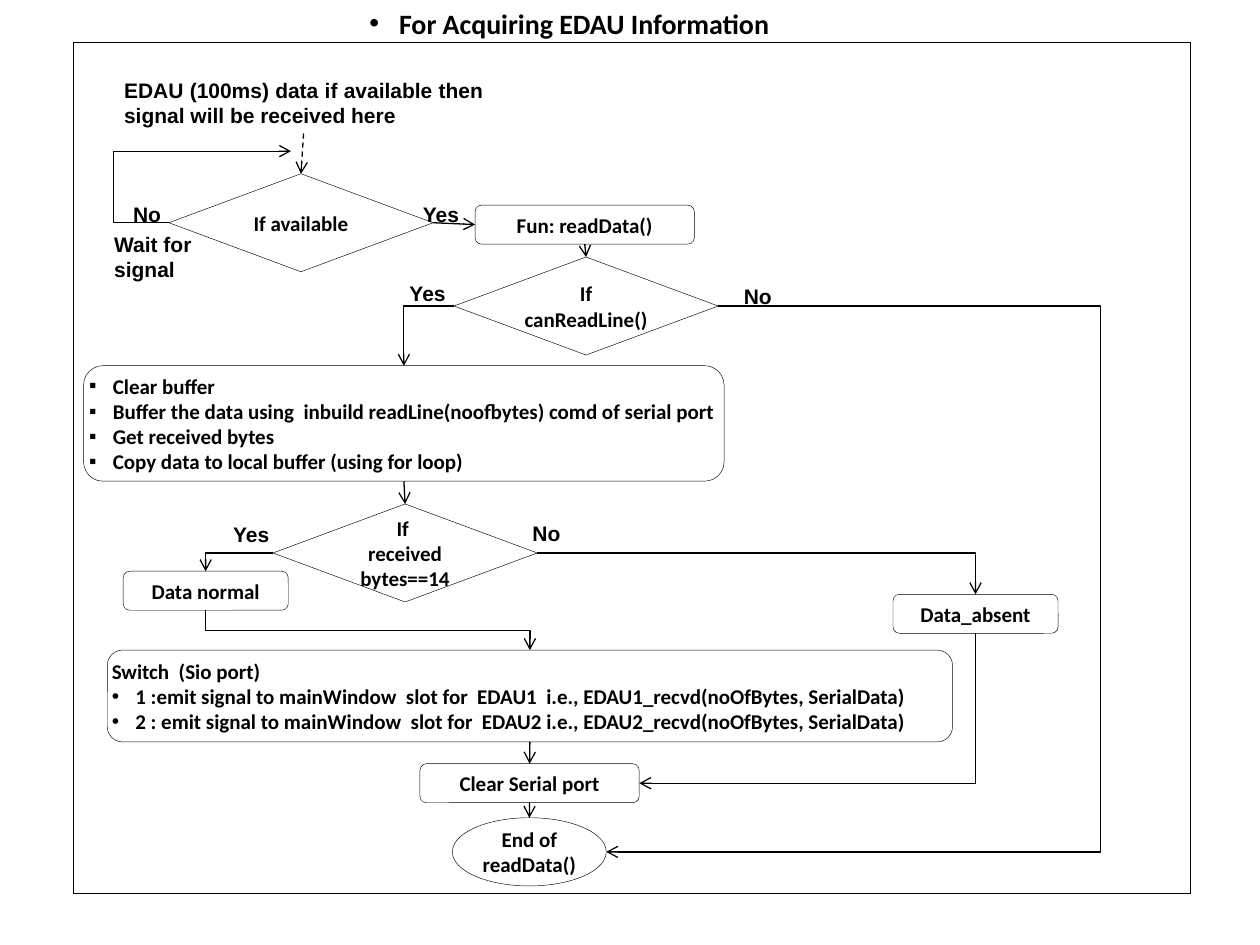
from dataclasses import dataclass

from lxml import etree
from pptx import Presentation
from pptx.dml.color import RGBColor
from pptx.enum.dml import MSO_LINE
from pptx.enum.shapes import MSO_CONNECTOR, MSO_SHAPE
from pptx.enum.text import MSO_ANCHOR, MSO_AUTO_SIZE, PP_ALIGN
from pptx.oxml.ns import qn
from pptx.util import Pt

BOX, ROUNDED = MSO_SHAPE.RECTANGLE, MSO_SHAPE.ROUNDED_RECTANGLE
DECISION, OVAL = MSO_SHAPE.FLOWCHART_DECISION, MSO_SHAPE.OVAL
STRAIGHT, ELBOW = MSO_CONNECTOR.STRAIGHT, MSO_CONNECTOR.ELBOW
LEFT, CENTER, JUSTIFY = PP_ALIGN.LEFT, PP_ALIGN.CENTER, PP_ALIGN.JUSTIFY
MIDDLE, TOP_ANCHOR = MSO_ANCHOR.MIDDLE, MSO_ANCHOR.TOP
NO_FIT, DASH = MSO_AUTO_SIZE.NONE, MSO_LINE.DASH
TOP, LEFT_SIDE, BOTTOM, RIGHT_SIDE = range(4)
TITLE_ONLY = 5


@dataclass(frozen=True)
class Theme:
    ink: RGBColor = RGBColor(0, 0, 0)
    node_font: str = "Calibri"
    label_font: str = "Arial"
    title_size: float = 16
    text_size: float = 12
    outline: float = 0.25
    arrow: float = 0.75
    list_indent: float = 13.5
    title_indent: float = 17


THEME = Theme()


def write(shape, lines, font, size, align, anchor, insets=(7.2, 3.6)):
    """Fill a shape with bold paragraphs of one style."""
    frame = shape.text_frame
    frame.text = "\n".join(lines)
    frame.word_wrap = True
    frame.auto_size = NO_FIT
    frame.vertical_anchor = anchor
    frame.margin_left = frame.margin_right = Pt(insets[0])
    frame.margin_top = frame.margin_bottom = Pt(insets[1])
    for para in frame.paragraphs:
        para.alignment = align
        for span in para.runs:
            span.font.name = font
            span.font.size = Pt(size)
            span.font.bold = True
            span.font.color.rgb = THEME.ink


def hang(para, indent, mark=None):
    """Give a paragraph a hanging indent and, if wanted, a bullet."""
    props = para._p.get_or_add_pPr()
    props.set("marL", str(Pt(indent)))
    props.set("indent", str(-Pt(indent)))
    if mark:
        etree.SubElement(props, qn("a:buFont")).set("typeface", "Arial")
        etree.SubElement(props, qn("a:buChar")).set("char", mark)


def add_title(page, text, left, top, width, height):
    title = page.shapes.title
    title.left, title.top = Pt(left), Pt(top)
    title.width, title.height = Pt(width), Pt(height)
    write(title, [text], THEME.node_font, THEME.title_size, LEFT, TOP_ANCHOR)
    hang(title.text_frame.paragraphs[0], THEME.title_indent, "•")


def add_node(page, kind, lines, left, top, width, height, align=CENTER):
    node = page.shapes.add_shape(kind, Pt(left), Pt(top), Pt(width), Pt(height))
    node.shadow.inherit = False
    node.fill.background()
    node.line.color.rgb = THEME.ink
    node.line.width = Pt(THEME.outline)
    if lines:
        write(node, lines, THEME.node_font, THEME.text_size, align, MIDDLE, (0, 0))
    return node


def add_list_node(page, lines, marks, *place):
    node = add_node(page, ROUNDED, lines, *place, align=JUSTIFY)
    for para, mark in zip(node.text_frame.paragraphs, marks):
        hang(para, THEME.list_indent, mark)
    return node


def add_label(page, lines, left, top, width=44, height=21.6, align=LEFT):
    box = page.shapes.add_textbox(Pt(left), Pt(top), Pt(width), Pt(height))
    write(box, lines, THEME.label_font, THEME.text_size, align, TOP_ANCHOR)


def side(node, index):
    """Middle of one side of a node."""
    middle_x, middle_y = node.left + node.width // 2, node.top + node.height // 2
    return ((middle_x, node.top), (node.left, middle_y),
            (middle_x, node.top + node.height),
            (node.left + node.width, middle_y))[index]


def add_arrow(page, kind, start, end):
    arrow = page.shapes.add_connector(kind, *start, *end)
    arrow.line.color.rgb = THEME.ink
    arrow.line.width = Pt(THEME.arrow)
    etree.SubElement(arrow.line._get_or_add_ln(), qn("a:tailEnd")).set("type", "arrow")
    etree.SubElement(arrow._element.spPr, qn("a:effectLst"))
    return arrow


def link_down(page, upper, lower):
    arrow = add_arrow(page, STRAIGHT, side(upper, BOTTOM), side(lower, TOP))
    arrow.begin_connect(upper, BOTTOM)
    arrow.end_connect(lower, TOP)


def add_elbow(page, start, end, vertical=False, bend=None):
    """Right-angled arrow; bend is the share of the way where a third leg turns."""
    if vertical:
        # A quarter turn about the centre makes the first leg run downwards.
        (x1, y1), (x2, y2) = start, end
        mid_x, mid_y = (x1 + x2) // 2, (y1 + y2) // 2
        half_x, half_y = (x2 - x1) // 2, (y2 - y1) // 2
        start = mid_x - half_y, mid_y + half_x
        end = mid_x + half_y, mid_y - half_x
    arrow = add_arrow(page, ELBOW, start, end)
    properties = arrow._element.spPr
    if vertical:
        properties.find(qn("a:xfrm")).set("rot", "5400000")
    geometry = properties.find(qn("a:prstGeom"))
    if bend is None:
        geometry.set("prst", "bentConnector2")
    else:
        guide = etree.SubElement(geometry.find(qn("a:avLst")), qn("a:gd"))
        guide.set("name", "adj1")
        guide.set("fmla", f"val {round(bend * 100000)}")


def add_detour(page, start, end, turn_x):
    """Elbow that leaves sideways, turns at turn_x and comes back."""
    add_elbow(page, start, end, bend=(Pt(turn_x) - start[0]) / (end[0] - start[0]))


def main():
    deck = Presentation()
    deck.slide_width, deck.slide_height = Pt(720), Pt(540)
    page = deck.slides.add_slide(deck.slide_layouts[TITLE_ONLY])
    add_title(page, "For Acquiring EDAU Information", 203.8, 0, 252, 26.6)

    # Steps and decisions
    available = add_node(page, DECISION, ["If available"], 96.5, 99.3, 151, 56)
    read = add_node(page, ROUNDED, ["Fun: readData()"], 271.5, 117.2, 125.3, 22.3)
    can_read = add_node(page, DECISION, ["If canReadLine()"], 259.4, 146.9, 151, 56)
    buffer = add_list_node(page, [
        "Clear buffer",
        "Buffer the data using  inbuild readLine(noofbytes) comd of serial port",
        "Get received bytes",
        "Copy data to local buffer (using for loop)",
    ], "▪▪▪▪", 47.8, 209, 366, 66)
    received = add_node(page, DECISION, ["If ", "received bytes==14"], 156, 288, 151, 56)
    normal = add_node(page, ROUNDED, ["Data normal"], 70.4, 326.4, 94.3, 22.3)
    absent = add_node(page, ROUNDED, ["Data_absent"], 510.3, 339.6, 94.3, 22.3)
    switch = add_list_node(page, [
        "Switch  (Sio port)",
        "1 :emit signal to mainWindow  slot for  EDAU1  i.e., EDAU1_recvd(noOfBytes, SerialData)",
        "2 : emit signal to mainWindow  slot for  EDAU2 i.e., EDAU2_recvd(noOfBytes, SerialData)",
    ], (None, "•", "•"), 61.3, 371.5, 483, 52.5)
    clear = add_node(page, ROUNDED, ["Clear Serial port"], 240, 436.4, 125.3, 22.3)
    finish = add_node(page, OVAL, ["End of readData()"], 258.5, 467.3, 88, 39)

    # Straight arrows
    signal = add_arrow(page, STRAIGHT, (Pt(173.5), Pt(76.3)), side(available, TOP))
    signal.line.dash_style = DASH
    signal.end_connect(available, TOP)
    call = add_arrow(page, STRAIGHT, side(available, RIGHT_SIDE), side(read, LEFT_SIDE))
    call.begin_connect(available, RIGHT_SIDE)
    call.end_connect(read, LEFT_SIDE)
    for upper, lower in ((read, can_read), (buffer, received),
                         (switch, clear), (clear, finish)):
        link_down(page, upper, lower)

    # Right-angled arrows
    add_elbow(page, side(can_read, LEFT_SIDE), side(buffer, TOP))
    add_elbow(page, side(received, LEFT_SIDE), side(normal, TOP))
    add_elbow(page, side(received, RIGHT_SIDE), side(absent, TOP))
    add_elbow(page, side(normal, BOTTOM), side(switch, TOP), vertical=True, bend=0.5)
    add_elbow(page, side(absent, BOTTOM), side(clear, RIGHT_SIDE), vertical=True)
    add_detour(page, side(can_read, RIGHT_SIDE), side(finish, RIGHT_SIDE), 628.8)
    add_detour(page, side(available, LEFT_SIDE), (Pt(166.3), Pt(86.4)), 64.8)

    # Labels beside the arrows
    add_label(page, ["EDAU (100ms) data if available then signal will be received here"],
              63.8, 40.5, 219.6, 36, JUSTIFY)
    add_label(page, ["Wait for", "signal"], 58.2, 128.7, 62.6, 36)
    for word, left, top in (("Yes", 234.6, 111.5), ("Yes", 226.9, 156.6),
                            ("Yes", 126.1, 294.4), ("No", 418, 158.4),
                            ("No", 297.2, 293.8), ("No", 69, 111.5)):
        add_label(page, [word], left, top)

    # Frame around the chart
    add_node(page, BOX, [], 41.8, 24, 638.6, 486.7)
    deck.save("out.pptx")


if __name__ == "__main__":
    main()
